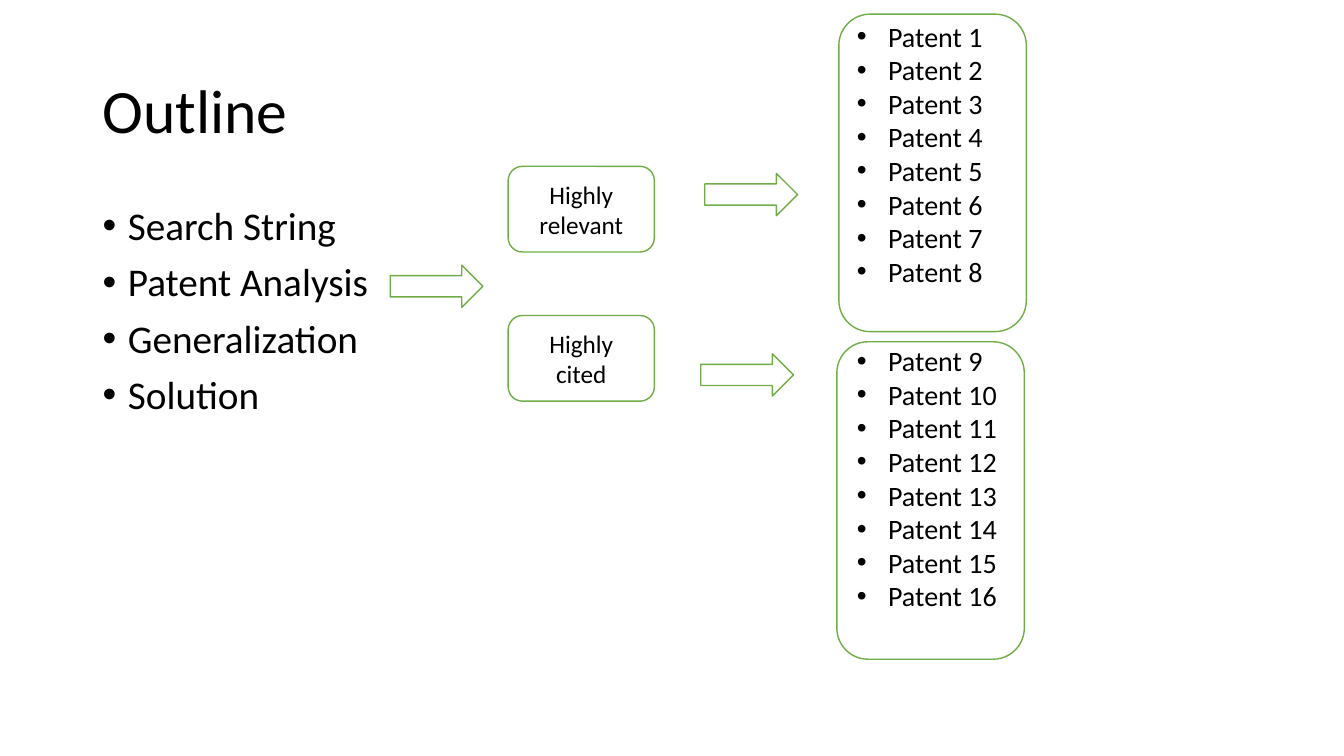
from lxml.etree import SubElement
from pptx import Presentation
from pptx.dml.color import RGBColor
from pptx.enum.shapes import MSO_SHAPE
from pptx.enum.text import MSO_ANCHOR, PP_ALIGN
from pptx.oxml.ns import qn
from pptx.util import Inches, Pt

TITLE = "Outline"
TOPICS = ["Search String", "Patent Analysis", "Generalization", "Solution"]
GROUPS = [
    {"label": "Highly relevant", "first": 1, "label_top": 1.65,
     "arrow": (6.99, 1.72), "panel": (8.32, 0.14), "list_top": 0.14},
    {"label": "Highly cited", "first": 9, "label_top": 3.13,
     "arrow": (6.95, 3.51), "panel": (8.3, 3.39), "list_top": 3.36},
]
PATENTS_PER_GROUP = 8
TOPIC_ARROW = (3.87, 2.63)
LEFT_MARGIN, LABEL_LEFT, LIST_LEFT = 0.92, 5.04, 8.4
PANEL_SIZE, LABEL_SIZE, ARROW_SIZE = (1.86, 3.15), (1.45, 0.85), (0.92, 0.42)
LIST_SIZE = (2.44, 3.13)
COLORS = {"text": "000000", "fill": "FFFFFF", "outline": "70AD47"}
FONT = "Calibri"

deck = Presentation()
deck.slide_width, deck.slide_height = Inches(13.33), Inches(7.5)
slide = deck.slides.add_slide(deck.slide_layouts[6])


def color(name):
    return RGBColor.from_string(COLORS[name])


def add_outlined(kind, corner, size):
    outlined = slide.shapes.add_shape(kind, *map(Inches, corner + size))
    outlined.shadow.inherit = False
    outlined.fill.solid()
    outlined.fill.fore_color.rgb = color("fill")
    outlined.line.color.rgb = color("outline")
    outlined.line.width = Pt(1)
    return outlined


def add_bullet(paragraph, indent):
    properties = paragraph._p.get_or_add_pPr()
    properties.set("marL", str(Inches(indent)))
    properties.set("indent", str(-Inches(indent)))
    SubElement(properties, qn("a:buFont")).set("typeface", "Arial")
    SubElement(properties, qn("a:buChar")).set("char", "•")


def write(holder, lines, size, anchor=MSO_ANCHOR.TOP, indent=0, gap=0, **layout):
    frame = holder.text_frame
    frame.word_wrap = True
    frame.vertical_anchor = anchor
    for index, line in enumerate(lines):
        paragraph = frame.add_paragraph() if index else frame.paragraphs[0]
        paragraph.text = line
        if indent:
            add_bullet(paragraph, indent)
        if index and gap:
            paragraph.space_before = Pt(gap)
        for name, value in layout.items():
            setattr(paragraph, name, value)
        for name, value in {"name": FONT, "size": Pt(size)}.items():
            setattr(paragraph.font, name, value)
        paragraph.font.color.rgb = color("text")


def add_text(corner, size, lines, points, **layout):
    box = slide.shapes.add_textbox(*map(Inches, corner + size))
    write(box, lines, points, **layout)


for group in reversed(GROUPS):
    add_outlined(MSO_SHAPE.ROUNDED_RECTANGLE, group["panel"], PANEL_SIZE)

add_text((LEFT_MARGIN, 0.4), (11.5, 1.45), [TITLE], 44,
         anchor=MSO_ANCHOR.MIDDLE, line_spacing=0.9)
add_text((LEFT_MARGIN, 2), (4.12, 4.76), TOPICS, 28,
         indent=0.25, gap=10, line_spacing=0.9)

for group in GROUPS:
    label = add_outlined(MSO_SHAPE.ROUNDED_RECTANGLE,
                         (LABEL_LEFT, group["label_top"]), LABEL_SIZE)
    write(label, [group["label"]], 18,
          anchor=MSO_ANCHOR.MIDDLE, alignment=PP_ALIGN.CENTER)
    numbers = range(group["first"], group["first"] + PATENTS_PER_GROUP)
    add_text((LIST_LEFT, group["list_top"]), LIST_SIZE,
             [f"Patent {number}" for number in numbers], 20, indent=0.31)

for corner in [TOPIC_ARROW] + [group["arrow"] for group in GROUPS]:
    add_outlined(MSO_SHAPE.RIGHT_ARROW, corner, ARROW_SIZE)

deck.save("out.pptx")
